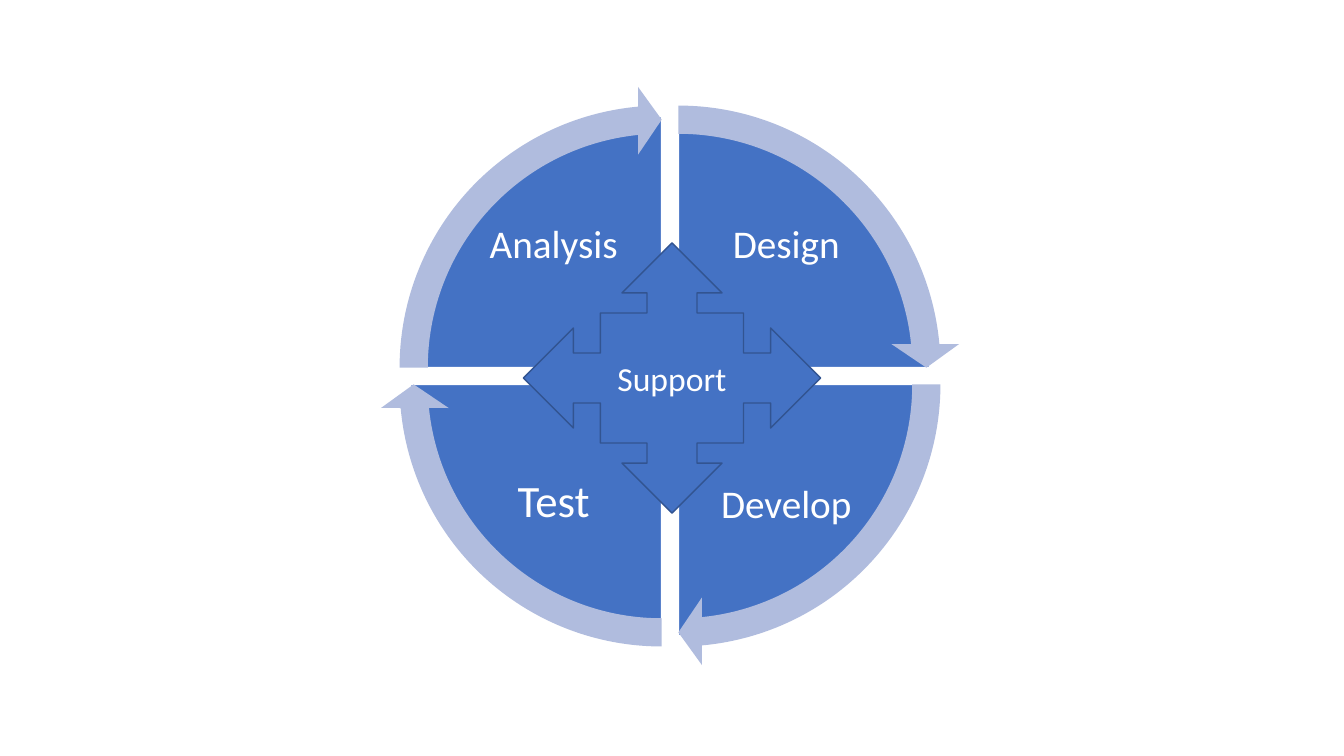
import pptx
import pptx.util
import pptx.dml.color
import pptx.enum.shapes
import pptx.enum.text

Pt = pptx.util.Pt
SHAPE = pptx.enum.shapes.MSO_SHAPE
ANCHOR = pptx.enum.text.MSO_ANCHOR
CENTER = pptx.enum.text.PP_ALIGN.CENTER

COLORS = {"sector": "4472C4", "arrow": "B0BCDE", "outline": "325491", "white": "FFFFFF"}
LABEL_MARGINS = {"margin_" + side: Pt(2.8) for side in ("left", "top", "right", "bottom")}


def apply_format(target, values):
    for name, value in values.items():
        setattr(target, name, value)


class CycleSlide:
    font = "Calibri"

    def __init__(self, slide):
        self.shapes = slide.shapes

    def color(self, name):
        return pptx.dml.color.RGBColor.from_string(COLORS[name])

    def box(self, center_x, center_y, width, height):
        return [Pt(v) for v in (center_x - width / 2, center_y - height / 2, width, height)]

    def shape(self, preset, box, fill, outline=None, adjustments=()):
        shape = self.shapes.add_shape(preset, *box)
        shape.shadow.inherit = False
        shape.fill.solid()
        shape.fill.fore_color.rgb = self.color(fill)
        if outline:
            shape.line.color.rgb = self.color(outline)
            shape.line.width = Pt(1)
        else:
            shape.line.fill.background()
        for index, value in enumerate(adjustments):
            shape.adjustments[index] = value
        return shape

    def caption(self, shape, text, size, frame_format, paragraph_format):
        frame = shape.text_frame
        apply_format(frame, {"word_wrap": True, **frame_format})
        paragraph = frame.paragraphs[0]
        apply_format(paragraph, {"alignment": CENTER, **paragraph_format})
        run = paragraph.add_run()
        run.text = text
        apply_format(run.font, {"name": self.font, "size": Pt(size)})
        run.font.color.rgb = self.color("white")

    def label(self, box, text, size, anchor):
        textbox = self.shapes.add_textbox(*box)
        self.caption(textbox, text, size, {"vertical_anchor": anchor, **LABEL_MARGINS},
                     {"line_spacing": 0.9})


deck = pptx.Presentation()
apply_format(deck, {"slide_width": Pt(960), "slide_height": Pt(540)})
cycle = CycleSlide(deck.slides.add_slide(deck.slide_layouts[6]))

CENTER_X, CENTER_Y, GAP = 478.6, 268.6, 6
PIE, RING = 358.6, 402.5
LABEL_DX, LABEL_DY = 83.1, 62
QUARTER, FULL_TURN = 54, 216
ARROW_SWEEP = 50.73

PHASES = [
    ("Design", 28, 1, -1),
    ("Develop", 28, 1, 1),
    ("Test", 32, -1, 1),
    ("Analysis", 28, -1, -1),
]
starts = [(3 + i) * QUARTER % FULL_TURN for i in range(len(PHASES))]

for (phase, size, right, down), start in zip(PHASES, starts):
    sector_box = cycle.box(CENTER_X + right * GAP, CENTER_Y + down * GAP, PIE, PIE)
    cycle.shape(SHAPE.PIE, sector_box, "sector", "white",
                (start, (start + QUARTER) % FULL_TURN))
    label_box = cycle.box(CENTER_X + right * LABEL_DX, CENTER_Y + down * LABEL_DY, 132.5, 97.9)
    cycle.label(label_box, phase, size, ANCHOR.BOTTOM if down > 0 else ANCHOR.TOP)

for (_, _, right, down), start in zip(PHASES, starts):
    ring_box = cycle.box(CENTER_X + right * GAP, CENTER_Y + down * GAP, RING, RING)
    cycle.shape(SHAPE.CIRCULAR_ARROW, ring_box, "arrow",
                adjustments=(0.05, 3.28, start + ARROW_SWEEP, start, 0.06))

support = cycle.shape(SHAPE.QUAD_ARROW_CALLOUT, cycle.box(480, 270, 212.4, 193),
                      "sector", "outline")
cycle.caption(support, "Support", 24, {"vertical_anchor": ANCHOR.MIDDLE}, {})

deck.save("out.pptx")
